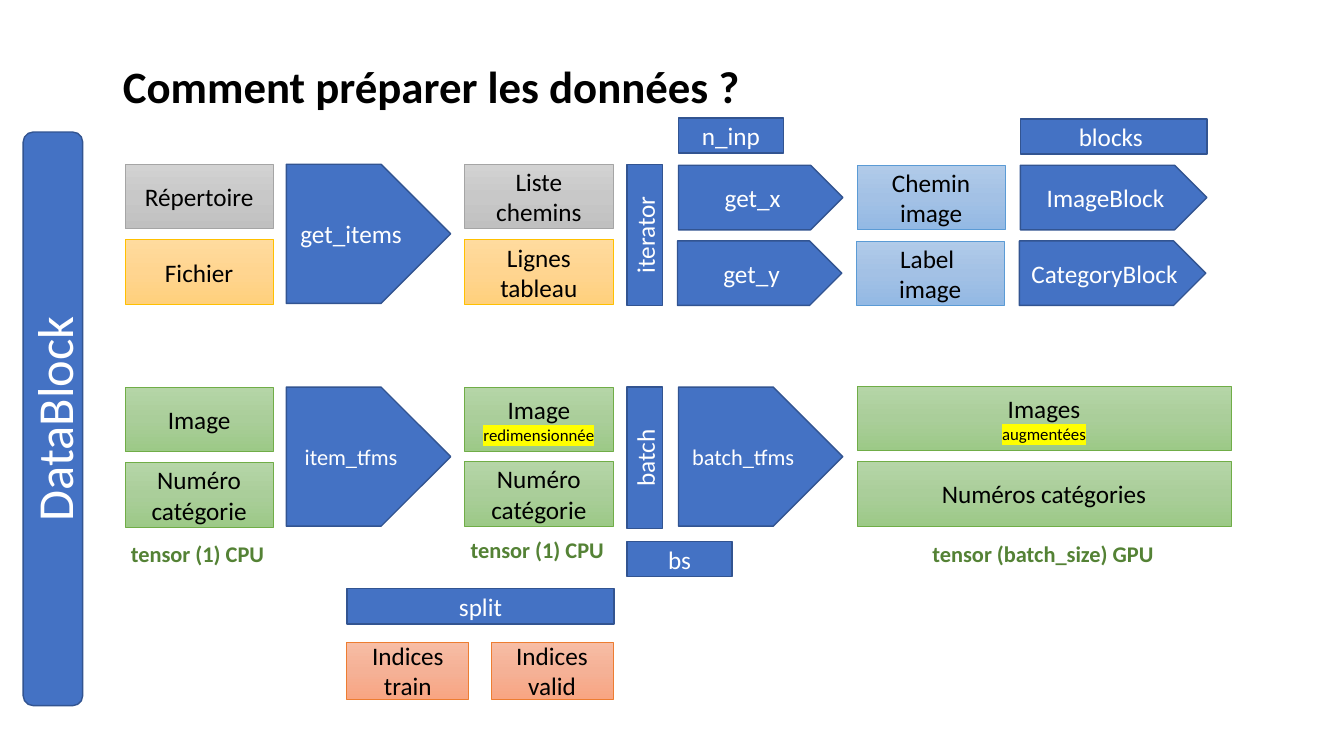
from copy import deepcopy

from lxml.etree import SubElement
from pptx import Presentation
from pptx.dml.color import RGBColor
from pptx.enum.shapes import MSO_SHAPE
from pptx.enum.text import MSO_ANCHOR, MSO_AUTO_SIZE, PP_ALIGN
from pptx.oxml.ns import qn
from pptx.util import Inches, Pt

FONT = "Calibri"
BLUE, BLUE_EDGE = "4472C4", "325491"
# top, middle and bottom of the gradient, then the outline
GRAY = ("D2D2D2", "C8C8C8", "C0C0C0", "A5A5A5")
YELLOW = ("FFDB9E", "FFD590", "FFD07C", "FFC000")
SKY = ("B1CBE9", "A3C1E5", "93B9E4", "5B9BD5")
GREEN = ("B5D5A7", "AACE9A", "9CC987", "70AD47")
ORANGE = ("F7BDA5", "F5B196", "F8A582", "ED7D31")

COLS = (1.24, 2.84, 4.61, 6.73, 8.5, 10.12)
SOURCE_ROWS = (1.63, 2.38)
TENSOR_ROWS = (3.84, 4.59)
BOX_W, BOX_H = 1.47, 0.64
STEP_W, STEP_H = 1.63, 1.38
BLOCK_W, BAR_H = 1.85, 0.35


def color(hex_text):
    return RGBColor.from_string(hex_text)


def style(p, size, hex_text, bold=False):
    p.font.name = FONT
    p.font.size = Pt(size)
    p.font.bold = bold
    p.font.color.rgb = color(hex_text)


def add_shape(slide, kind, text, x, y, w, h, size, font_color, edge, edge_w):
    sp = slide.shapes.add_shape(kind, Inches(x), Inches(y), Inches(w), Inches(h))
    sp.shadow.inherit = False
    sp.line.color.rgb = color(edge)
    sp.line.width = Pt(edge_w)
    tf = sp.text_frame
    tf.word_wrap = True
    tf.vertical_anchor = MSO_ANCHOR.MIDDLE
    p = tf.paragraphs[0]
    p.text = text
    p.alignment = PP_ALIGN.CENTER
    style(p, size, font_color)
    return sp


def add_step(slide, text, x, y, w, h, kind=MSO_SHAPE.PENTAGON, size=18):
    """Add a solid blue shape: an arrow by default."""
    sp = add_shape(slide, kind, text, x, y, w, h, size, "FFFFFF", BLUE_EDGE, 1)
    sp.fill.solid()
    sp.fill.fore_color.rgb = color(BLUE)
    return sp


def add_bar(slide, text, x, y, w):
    add_step(slide, text, x, y, w, BAR_H, MSO_SHAPE.RECTANGLE)


def add_upright(slide, text, x, y, w, h, kind=MSO_SHAPE.RECTANGLE, size=18):
    """Add a blue bar read upwards; x, y, w, h are its place as seen."""
    left, top = x + (w - h) / 2, y + (h - w) / 2
    add_step(slide, text, left, top, h, w, kind, size).rotation = 270


def add_data(slide, text, x, y, palette, w=BOX_W, h=BOX_H, marked=None):
    """Add a gradient box, with an optional highlighted second line."""
    *shades, edge = palette
    sp = add_shape(slide, MSO_SHAPE.RECTANGLE, text, x, y, w, h, 18, "000000", edge, 0.5)
    sp.fill.gradient()
    sp.fill.gradient_angle = 270
    first = sp.fill.gradient_stops[0]
    stops = sp._element.spPr.find(qn("a:gradFill")).find(qn("a:gsLst"))
    stops.insert(1, deepcopy(stops[0]))
    for stop, shade, position in zip(sp.fill.gradient_stops, shades, (0, 0.5, 1)):
        stop.color.rgb = color(shade)
        stop.position = position
    if marked:
        p = sp.text_frame.add_paragraph()
        p.alignment = PP_ALIGN.CENTER
        style(p, 12, "000000")
        r = p.add_run()
        r.text = marked
        highlight = SubElement(r._r.get_or_add_rPr(), qn("a:highlight"))
        SubElement(highlight, qn("a:srgbClr")).set("val", "FFFF00")


def add_label(slide, text, x, y, w, h, size, hex_text):
    tf = slide.shapes.add_textbox(Inches(x), Inches(y), Inches(w), Inches(h)).text_frame
    tf.word_wrap = False
    tf.auto_size = MSO_AUTO_SIZE.SHAPE_TO_FIT_TEXT
    p = tf.paragraphs[0]
    p.text = text
    style(p, size, hex_text, bold=True)


def add_source_stage(slide):
    start, items, listed, getter, value, block = COLS
    top, low = SOURCE_ROWS
    add_data(slide, "Répertoire", start, top, GRAY)
    add_data(slide, "Fichier", start, low, YELLOW)
    add_step(slide, "get_items", items, top, STEP_W, STEP_H)
    add_data(slide, "Liste chemins", listed, top, GRAY)
    add_data(slide, "Lignes tableau", listed, low, YELLOW)
    add_upright(slide, "iterator", 6.22, top, BAR_H, 1.4)
    rows = (("get_x", "Chemin\vimage", "ImageBlock"),
            ("get_y", "Label \vimage", "CategoryBlock"))
    for i, (get, data, name) in enumerate(rows):
        y, shift = 1.64 + 0.75 * i, 0.01 * i
        add_step(slide, get, getter - shift, y, STEP_W, BOX_H)
        add_data(slide, data, value - shift, y, SKY)
        add_step(slide, name, block - shift, y, BLOCK_W, BOX_H)
    add_bar(slide, "n_inp", getter, 1.17, 1.04)
    add_bar(slide, "blocks ", block, 1.18, BLOCK_W)


def add_tensor_stage(slide):
    start, item, resized, batch, augmented, _ = COLS
    top, low = TENSOR_ROWS
    add_data(slide, "Image", start, top, GREEN)
    add_data(slide, "Numéro catégorie", start, low, GREEN)
    add_step(slide, "item_tfms", item, top, STEP_W, STEP_H, size=16)
    add_data(slide, "Image", resized, top, GREEN, marked="redimensionnée")
    add_data(slide, "Numéro catégorie", resized, 4.58, GREEN)
    add_upright(slide, "batch", 6.22, top, BAR_H, 1.4)
    add_step(slide, "batch_tfms", batch, top, STEP_W, STEP_H, size=16)
    add_data(slide, "Images", augmented, 3.83, GREEN, w=3.71, marked="augmentées")
    add_data(slide, "Numéros catégories", augmented, 4.58, GREEN, w=3.71)
    add_bar(slide, "bs", 6.22, 5.37, 1.04)
    for text, x, y, w in (("tensor (1) CPU", 1.2, 5.31, 1.54),
                          ("tensor (1) CPU", 4.57, 5.27, 1.54),
                          ("tensor (batch_size) GPU", 9.15, 5.31, 2.43)):
        add_label(slide, text, x, y, w, 0.37, 16, "548235")


def add_split(slide):
    add_bar(slide, "split", 3.44, 5.84, 2.65)
    for text, x in (("Indices train", 3.44), ("Indices valid", 4.87)):
        add_data(slide, text, x, 6.37, ORANGE, w=1.21, h=0.57)


def main():
    prs = Presentation()
    prs.slide_width, prs.slide_height = Inches(13.33), Inches(7.5)
    s = prs.slides.add_slide(prs.slide_layouts[6])
    add_label(s, "Comment préparer les données ?", 1.12, 0.53, 6.38, 0.64, 32, "000000")
    add_upright(s, "DataBlock", 0.23, 1.31, 0.59, 5.69, MSO_SHAPE.ROUNDED_RECTANGLE, 36)
    add_source_stage(s)
    add_tensor_stage(s)
    add_split(s)
    prs.save("out.pptx")


if __name__ == "__main__":
    main()
